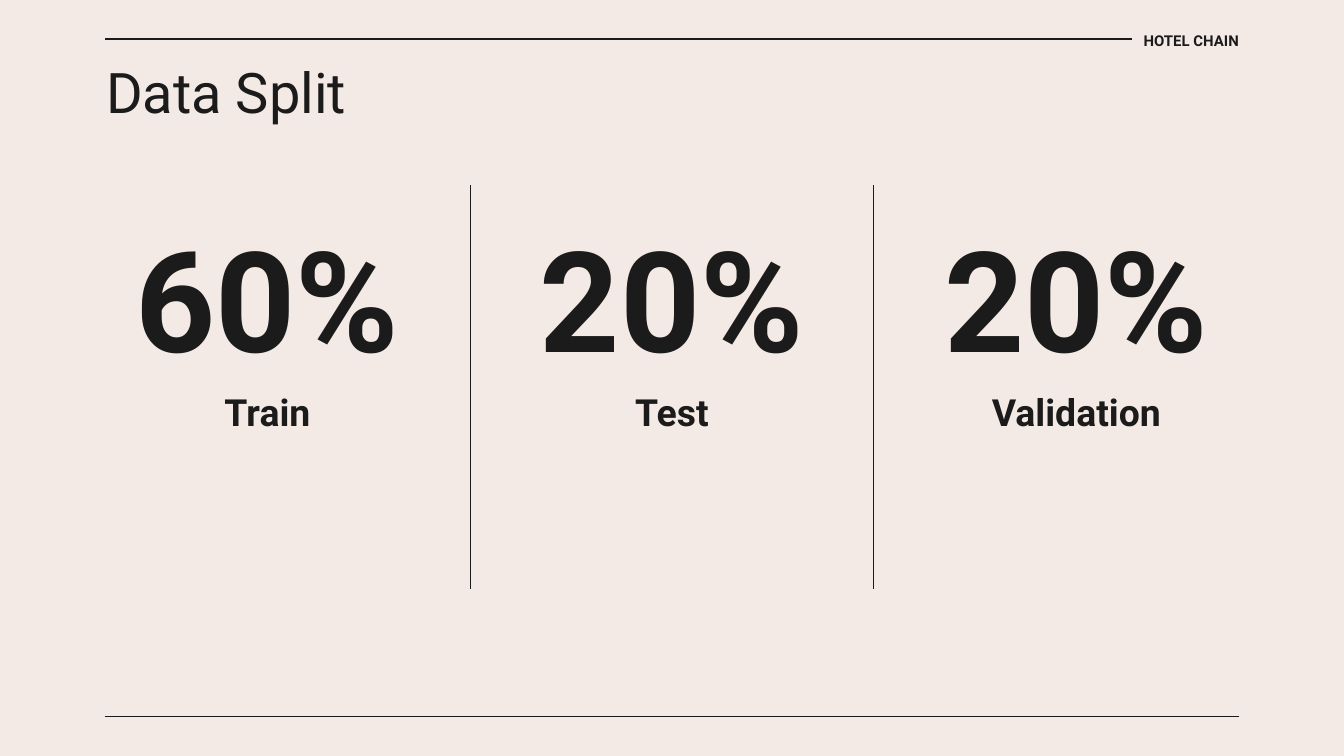
"""Build the Data Split slide."""
from lxml import etree
from pptx import Presentation
from pptx.dml.color import RGBColor
from pptx.enum.shapes import MSO_CONNECTOR
from pptx.enum.text import MSO_ANCHOR, PP_ALIGN
from pptx.oxml.ns import qn
from pptx.util import Inches, Pt

STRAIGHT = MSO_CONNECTOR.STRAIGHT
TOP, MIDDLE = MSO_ANCHOR.TOP, MSO_ANCHOR.MIDDLE
LEFT, CENTER, RIGHT = PP_ALIGN.LEFT, PP_ALIGN.CENTER, PP_ALIGN.RIGHT

BACKGROUND = RGBColor(0xF4, 0xEA, 0xE5)
INK = RGBColor(0x1B, 0x1B, 0x1B)
FONT = "Roboto"

SPLITS = [("60%", "Train"), ("20%", "Test"), ("20%", "Validation")]
SLIDE_WIDTH = 10
MARGIN = 0.79
COLUMN_WIDTH = 2.4
COLUMN_STEP = 3.01
DIVIDERS = (3.5, 6.5)


def add_text(slide, text, left, top, width, height, size,
             bold=True, align=CENTER, anchor=MIDDLE):
    """Add a text box without insets holding one run."""
    box = slide.shapes.add_textbox(
        Inches(left), Inches(top), Inches(width), Inches(height))
    frame = box.text_frame
    frame.word_wrap = True
    frame.vertical_anchor = anchor
    frame.margin_left = frame.margin_right = 0
    frame.margin_top = frame.margin_bottom = 0
    paragraph = frame.paragraphs[0]
    paragraph.alignment = align
    run = paragraph.add_run()
    run.text = text
    run.font.name = FONT
    run.font.size = Pt(size)
    run.font.bold = bold
    run.font.color.rgb = INK


def add_line(slide, start_x, start_y, end_x, end_y):
    """Add a thin straight line without a shadow."""
    line = slide.shapes.add_connector(
        STRAIGHT, Inches(start_x), Inches(start_y), Inches(end_x), Inches(end_y))
    line.line.color.rgb = INK
    line.line.width = Pt(0.75)
    etree.SubElement(line._element.spPr, qn("a:effectLst"))


def add_split(slide, left, share, label):
    """Add one share of the data with its label below."""
    add_text(slide, share, left, 1.61, COLUMN_WIDTH, 1.2, 75)
    add_text(slide, label, left, 2.81, COLUMN_WIDTH, 0.5, 20)


def main():
    """Build and save the presentation."""
    presentation = Presentation()
    presentation.slide_width = Inches(SLIDE_WIDTH)
    presentation.slide_height = Inches(SLIDE_WIDTH * 9 / 16)
    slide = presentation.slides.add_slide(presentation.slide_layouts[6])
    slide.background.fill.solid()
    slide.background.fill.fore_color.rgb = BACKGROUND

    for index, (share, label) in enumerate(SPLITS):
        add_split(slide, MARGIN + index * COLUMN_STEP, share, label)
    add_text(slide, "Data Split", MARGIN, 0.43, 8.43, 0.5, 30,
             bold=False, align=LEFT, anchor=TOP)
    add_text(slide, "HOTEL CHAIN", 8.42, 0.22, 0.8, 0.16, 8, align=RIGHT)

    add_line(slide, 8.42, 0.29, 0.78, 0.29)
    add_line(slide, 0.78, 5.33, 9.22, 5.33)
    for divider in DIVIDERS:
        add_line(slide, divider, 1.38, divider, 4.38)

    presentation.save("out.pptx")


if __name__ == "__main__":
    main()
